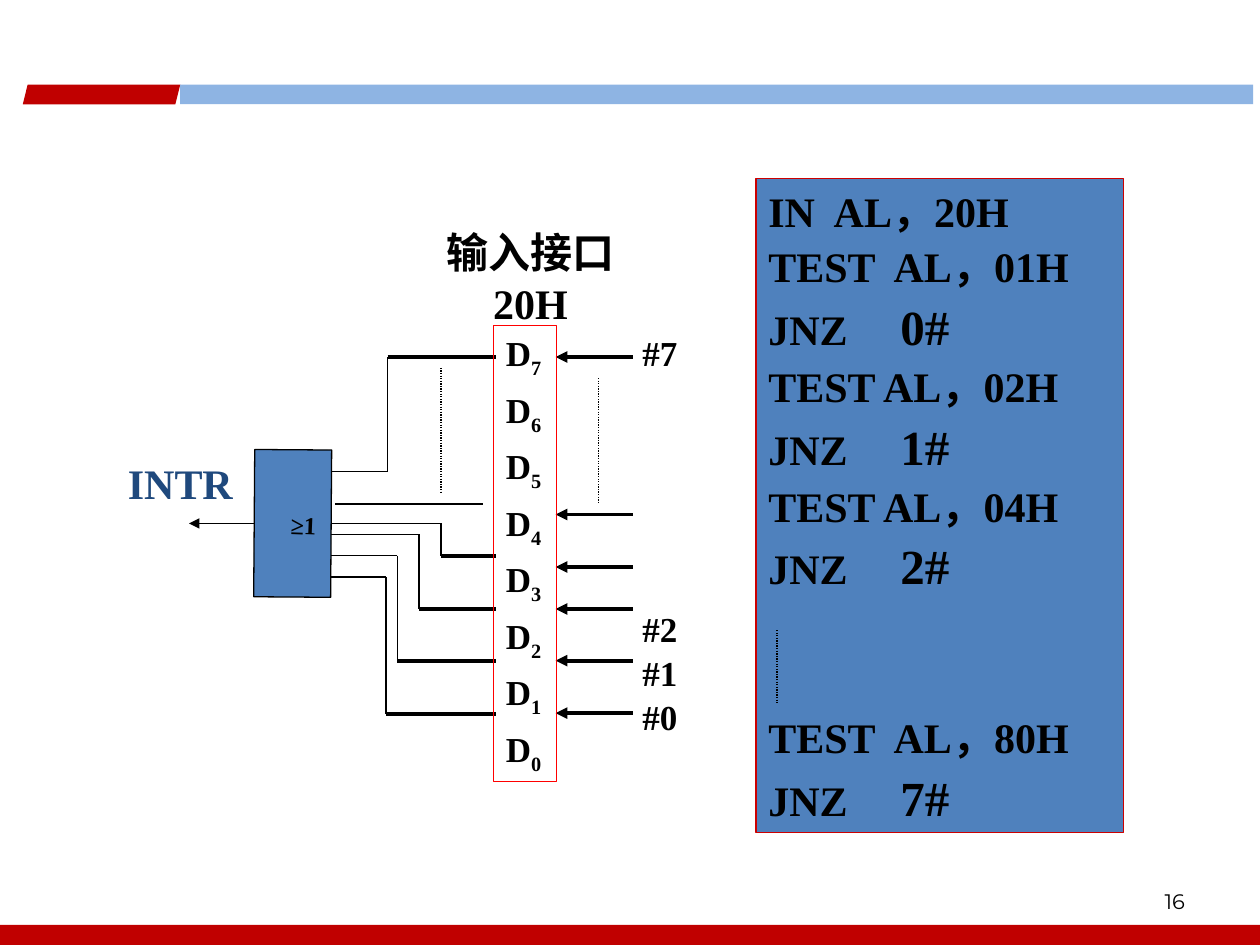
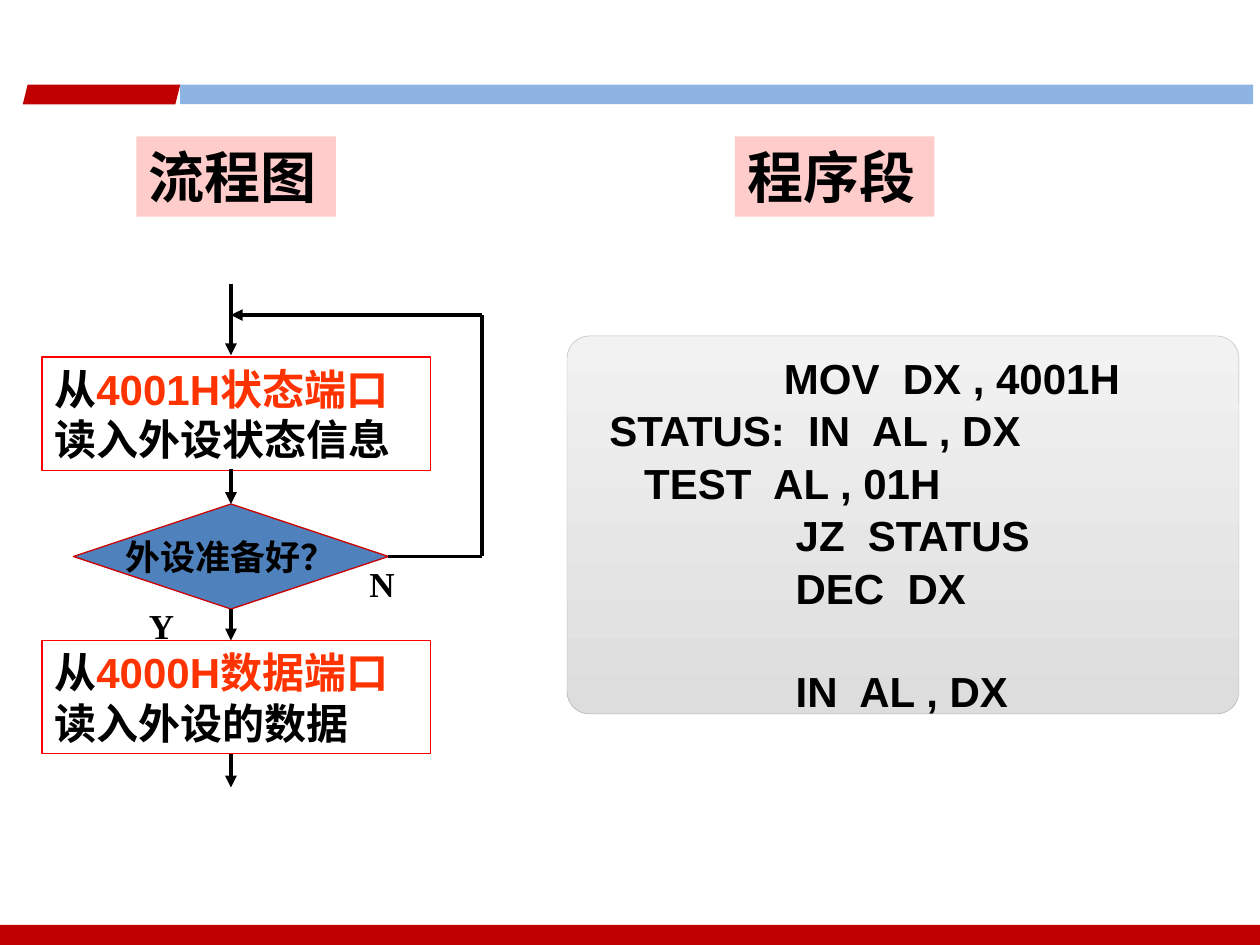
from lxml import etree
from pptx import Presentation
from pptx.dml.color import RGBColor
from pptx.enum.dml import MSO_LINE
from pptx.enum.shapes import MSO_CONNECTOR, MSO_SHAPE
from pptx.enum.text import MSO_ANCHOR, PP_ALIGN
from pptx.oxml.ns import qn
from pptx.util import Pt

RECT, ROUNDED = MSO_SHAPE.RECTANGLE, MSO_SHAPE.ROUNDED_RECTANGLE
DECISION, SLANTED = MSO_SHAPE.FLOWCHART_DECISION, MSO_SHAPE.PARALLELOGRAM
STRAIGHT = MSO_CONNECTOR.STRAIGHT
DOTTED = MSO_LINE.ROUND_DOT
TOP, MIDDLE = MSO_ANCHOR.TOP, MSO_ANCHOR.MIDDLE
LEFT, CENTER, RIGHT = PP_ALIGN.LEFT, PP_ALIGN.CENTER, PP_ALIGN.RIGHT

# Shared style
BLACK, RED, DARK_RED, BRICK = "000000", "FF0000", "C00000", "CC0000"
BLUE, SKY, NAVY = "4F81BD", "8EB4E3", "1F497D"
PINK, ORANGE, GREY = "FFCCCC", "FF3300", "969696"
SERIF, SANS, FOOTER = "Times New Roman", "Arial", "Montserrat"
THIN, THICK = 0.75, 2.25


def rgb(value):
    return RGBColor.from_string(value)


def write(frame, paragraphs, size=24, font=SERIF, color=BLACK, bold=True,
          align=LEFT, anchor=TOP, wrap=True, gap=0, gaps=None, tab=None,
          inset_top=3.6):
    """Each paragraph is a string or a list of (text, overrides) runs;
    gap is the space before, gaps overrides it by paragraph index."""
    frame.word_wrap = wrap
    frame.vertical_anchor = anchor
    frame.margin_left = frame.margin_right = Pt(7.2)
    frame.margin_top, frame.margin_bottom = Pt(inset_top), Pt(3.6)
    for index, runs in enumerate(paragraphs):
        paragraph = frame.add_paragraph() if index else frame.paragraphs[0]
        if tab:
            tabs = etree.SubElement(paragraph._p.get_or_add_pPr(), qn("a:tabLst"))
            etree.SubElement(tabs, qn("a:tab"), pos=str(Pt(tab)), algn="l")
        paragraph.alignment = align
        if index:
            paragraph.space_before = Pt((gaps or {}).get(index, gap))
        for text, changes in [(runs, {})] if isinstance(runs, str) else runs:
            run = paragraph.add_run()
            run.text = text
            run.font.name, run.font.bold = font, bold
            run.font.size = Pt(changes.get("size", size))
            run.font.color.rgb = rgb(changes.get("color", color))
            if changes.get("subscript"):
                run._r.get_or_add_rPr().set("baseline", "-25000")


class Deck:
    def __init__(self):
        self.prs = Presentation()
        self.prs.slide_width, self.prs.slide_height = Pt(720), Pt(540)
        self.slide = None

    def new_slide(self):
        self.slide = self.prs.slides.add_slide(self.prs.slide_layouts[6])
        self.shape(0, 528.5, 720, 11.5, fill=DARK_RED)
        self.shape(13, 48.4, 90, 11.2, SLANTED, fill=DARK_RED, adjust=0.25)
        self.shape(102.9, 48.4, 613.2, 11.2, fill=SKY)

    def shape(self, x, y, width, height, kind=RECT, fill=None, line=None,
              line_width=THIN, adjust=None, paragraphs=None, **style):
        shape = self.slide.shapes.add_shape(kind, Pt(x), Pt(y), Pt(width), Pt(height))
        shape.shadow.inherit = False
        if adjust is not None:
            shape.adjustments[0] = adjust
        if fill:
            shape.fill.solid()
            shape.fill.fore_color.rgb = rgb(fill)
        else:
            shape.fill.background()
        if line:
            shape.line.color.rgb = rgb(line)
            shape.line.width = Pt(line_width)
        else:
            shape.line.fill.background()
        if paragraphs:
            write(shape.text_frame, paragraphs, **style)
        return shape

    def text(self, x, y, width, height, paragraphs, **style):
        box = self.slide.shapes.add_textbox(Pt(x), Pt(y), Pt(width), Pt(height))
        write(box.text_frame, paragraphs, **style)
        return box

    def line(self, x1, y1, x2, y2, width=THIN, arrow=False, dash=None,
             begin=None, end=None):
        """begin and end are (shape, connection site) pairs."""
        line = self.slide.shapes.add_connector(STRAIGHT, Pt(x1), Pt(y1), Pt(x2), Pt(y2))
        line.line.color.rgb = rgb(BLACK)
        line.line.width = Pt(width)
        if dash:
            line.line.dash_style = dash
        properties = line._element.spPr
        if arrow:
            etree.SubElement(properties.find(qn("a:ln")), qn("a:tailEnd"), type="triangle")
        etree.SubElement(properties, qn("a:effectLst"))
        if begin:
            line.begin_connect(*begin)
        if end:
            line.end_connect(*end)

    def gradient(self, shape, colors):
        shape.fill.gradient()
        shape.fill.gradient_angle = 270
        for stop, color, position in zip(shape.fill.gradient_stops, colors, (0, 1)):
            stop.color.rgb = rgb(color)
            stop.position = position

    def line_opacity(self, shape, percent):
        for color in shape._element.spPr.find(qn("a:ln")).iter(qn("a:srgbClr")):
            etree.SubElement(color, qn("a:alpha"), val=str(percent * 1000))


def interrupt_slide(deck):
    deck.new_slide()

    # Polling program
    def jump(number):
        return [("JNZ\t", {}), (f"{number}#", {"size": 28})]

    program = ["IN  AL，20H", "TEST  AL，01H", jump(0), "TEST AL，02H", jump(1),
               "TEST AL，04H", jump(2), "TEST  AL，80H", jump(7)]
    deck.shape(432, 102.2, 210, 373.7, fill=BLUE, line=BRICK,
               paragraphs=program, gap=3, gaps={7: 67}, tab=75.4)
    deck.line(444, 360, 444, 402, dash=DOTTED)

    # Request inputs
    deck.text(246.2, 126, 113.8, 64.8, ["输入接口20H"], align=CENTER)
    for y in (204, 294, 324, 348, 377.5, 407.5):
        deck.line(361.5, y, 317.5, y, THICK, arrow=True)
    deck.text(360, 186, 40, 236, ["#7", "#2", "#1", "#0"], size=20,
              gap=1, gaps={1: 133.6})

    # OR gate with its output
    gate = deck.shape(145.3, 257, 44, 84.2, fill=BLUE, line=BLACK)
    gate.rotation = 0.4
    gate_middle = 299.1
    deck.line(145.3, gate_middle, 108, gate_middle, arrow=True, begin=(gate, 1))
    deck.text(66, 257.8, 136.8, 36, ["INTR"], color=NAVY)
    deck.text(159, 288, 29, 24.5, ["≥1"], size=14, wrap=False).rotation = 2.2

    # Wires: gate height, bend, register height
    wires = [(269.5, 221.5, 204), (gate_middle, 252, 317.8), (305.3, 239.4, 347.8),
             (317.5, 227, 377.7), (329.8, 220.6, 408)]
    for gate_y, bend, register_y in wires:
        joint = (gate, 3) if gate_y == gate_middle else None
        deck.line(189.3, gate_y, bend, gate_y, begin=joint)
        deck.line(bend, gate_y, bend, register_y)
        deck.line(bend, register_y, 283.5, register_y, THICK)
    deck.line(191.5, 288, 275.8, 288)
    deck.line(252, 210.2, 252, 282.2, dash=DOTTED)
    deck.line(342, 216, 342, 288, dash=DOTTED)

    # Register bits
    bits = [[("D", {}), (str(bit), {"subscript": True})] for bit in range(7, -1, -1)]
    deck.shape(282, 186, 36, 260.6, line=RED, paragraphs=bits, size=20, gap=5)

    deck.text(516.2, 500.4, 168, 28.8, ["16"], size=12, font=FOOTER, bold=False,
              align=RIGHT, anchor=MIDDLE)


def polling_slide(deck):
    deck.new_slide()
    for x, heading in ((78, "流程图"), (420, "程序段")):
        deck.shape(x, 78, 114, 45.8, fill=PINK, paragraphs=[heading], size=32)

    # Program
    program = [" " * 17 + "MOV  DX , 4001H", "  STATUS:  IN  AL , DX",
               "     TEST  AL , 01H", " " * 18 + "JZ  STATUS",
               " " * 18 + "DEC  DX", " " * 18 + "IN  AL , DX"]
    panel = deck.shape(324, 192, 384, 216, ROUNDED, line=GREY, line_width=0.25,
                       adjust=0.06, paragraphs=program, font=SANS, gap=1.2,
                       gaps={5: 30}, inset_top=5.6)
    deck.gradient(panel, ("F2F2F2", "DDDDDD"))
    deck.line_opacity(panel, 65)

    # Flowchart steps
    axis, loop_x = 132, 275.5
    ready = deck.shape(42, 288, 180, 60, DECISION, fill=BLUE, line=BRICK,
                       paragraphs=["外设准备好？"], size=20, align=CENTER,
                       anchor=MIDDLE, wrap=False)
    steps = [(204, "4001H状态端口", "读入外设状态信息"),
             (366, "4000H数据端口", "读入外设的数据")]
    for y, port, action in steps:
        deck.shape(24, y, 222, 64.8, line=RED, font=SANS,
                   paragraphs=[[("从", {}), (port, {"color": ORANGE})], action])

    # Flow down the axis
    flows = [(162, 203, {}), (268, 288, {"end": (ready, 0)}),
             (348, 366, {"begin": (ready, 2)}), (431, 450, {})]
    for start, stop, joints in flows:
        deck.line(axis, start, axis, stop, THICK, arrow=True, **joints)

    # Loop while not ready
    deck.line(222, 318, loop_x, 318, THICK, begin=(ready, 3))
    deck.line(loop_x, 318, loop_x, 180, THICK)
    deck.line(loop_x, 180, axis, 180, THICK, arrow=True)
    for x, y, answer in ((204, 318, "N"), (78, 342, "Y")):
        deck.text(x, y, 42, 31.5, [answer], size=20)


def main():
    deck = Deck()
    interrupt_slide(deck)
    polling_slide(deck)
    deck.prs.save("out.pptx")


if __name__ == "__main__":
    main()
